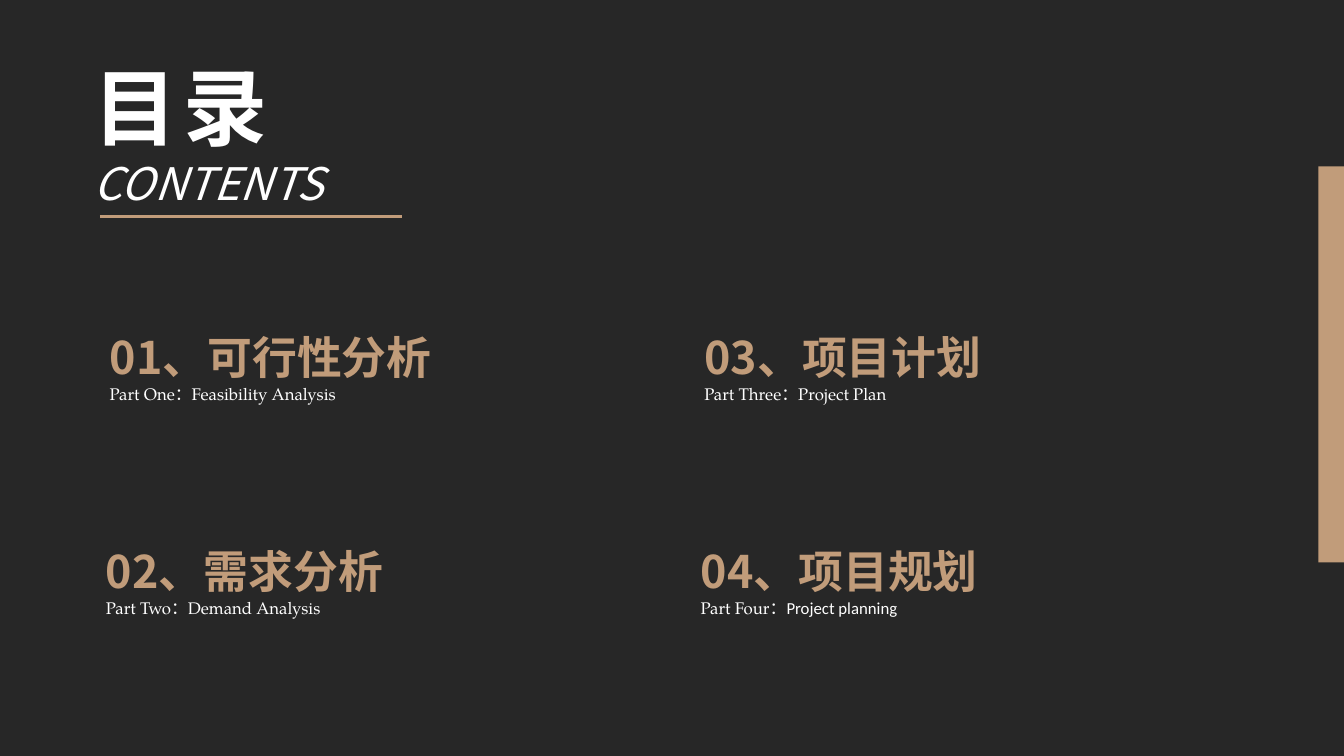
from itertools import product

from lxml.etree import SubElement
from pptx import Presentation
from pptx.dml.color import RGBColor
from pptx.enum.shapes import MSO_CONNECTOR, MSO_SHAPE
from pptx.enum.text import MSO_AUTO_SIZE
from pptx.oxml.ns import qn
from pptx.util import Pt

CHARCOAL = RGBColor(0x27, 0x27, 0x27)
TAN = RGBColor(0xC1, 0x9C, 0x7A)
WHITE = RGBColor(0xFF, 0xFF, 0xFF)

SANS = "Noto Sans CJK SC"
SERIF = "TeX Gyre Pagella"

TITLE = {"name": SANS, "size": Pt(60), "bold": True, "color": WHITE}
SUBTITLE = {"name": SANS, "size": Pt(32), "italic": True, "color": WHITE}
HEADING = {"name": SANS, "size": Pt(32), "bold": True, "color": TAN}
CAPTION = {"name": SERIF, "size": Pt(12), "color": WHITE}
PLAIN_CAPTION = {**CAPTION, "name": "Calibri"}

COLUMNS = (71.3, 496.1)
ROWS = (213.1, 365.8)
ROW_SHIFT = -2.7

SECTIONS = [
    ("01、可行性分析", [("Part One：Feasibility Analysis", CAPTION)]),
    ("02、需求分析", [("Part Two：Demand Analysis", CAPTION)]),
    ("03、项目计划", [("Part Three：Project Plan", CAPTION)]),
    ("04、项目规划", [("Part Four：", CAPTION), ("Project planning", PLAIN_CAPTION)]),
]


class ContentsSlide:
    def __init__(self, deck, background, accent):
        self.accent = accent
        self.slide = deck.slides.add_slide(deck.slide_layouts[6])
        self.slide.background.fill.solid()
        self.slide.background.fill.fore_color.rgb = background

    def words(self, paragraph, wording, style, tracking=0):
        run = paragraph.add_run()
        run.text = wording
        for attribute, setting in style.items():
            if attribute == "color":
                run.font.color.rgb = setting
            else:
                setattr(run.font, attribute, setting)
        properties = run.font._element
        SubElement(properties, qn("a:ea")).set("typeface", SANS)
        if tracking:
            properties.set("spc", str(tracking * 100))

    def text(self, left, top, width, height):
        box = self.slide.shapes.add_textbox(Pt(left), Pt(top), Pt(width), Pt(height))
        frame = box.text_frame
        frame.word_wrap = True
        frame.auto_size = MSO_AUTO_SIZE.SHAPE_TO_FIT_TEXT
        return frame.paragraphs[0], frame.add_paragraph()

    def title(self, left, top, chinese, english):
        upper, lower = self.text(left, top, 215.3, 118.8)
        self.words(upper, chinese, TITLE, tracking=4)
        self.words(lower, english, SUBTITLE)

    def section(self, left, top, heading, captions):
        upper, lower = self.text(left, top, 339.8, 79.9)
        upper.line_spacing = 1.5
        self.words(upper, heading, HEADING)
        for wording, style in captions:
            self.words(lower, wording, style)

    def rule(self, left, top, length):
        underline = self.slide.shapes.add_connector(
            MSO_CONNECTOR.STRAIGHT, Pt(left), Pt(top), Pt(left + length), Pt(top)
        )
        underline.line.color.rgb = self.accent
        underline.line.width = Pt(2.25)
        SubElement(underline._element.spPr, qn("a:effectLst"))

    def bar(self, left, top, width, height):
        band = self.slide.shapes.add_shape(
            MSO_SHAPE.RECTANGLE, Pt(left), Pt(top), Pt(width), Pt(height)
        )
        band.shadow.inherit = False
        band.fill.solid()
        band.fill.fore_color.rgb = self.accent
        band.line.fill.background()


def main():
    deck = Presentation()
    deck.slide_width, deck.slide_height = Pt(960), Pt(540)
    contents = ContentsSlide(deck, CHARCOAL, TAN)
    contents.title(59.8, 36, "目录", "CONTENTS")
    contents.rule(71.3, 154.8, 216)
    for (column, row), (heading, captions) in zip(product(range(2), repeat=2), SECTIONS):
        contents.section(COLUMNS[column] + row * ROW_SHIFT, ROWS[row], heading, captions)
    contents.bar(941.8, 118.8, 18.2, 283)
    deck.save("out.pptx")


if __name__ == "__main__":
    main()
